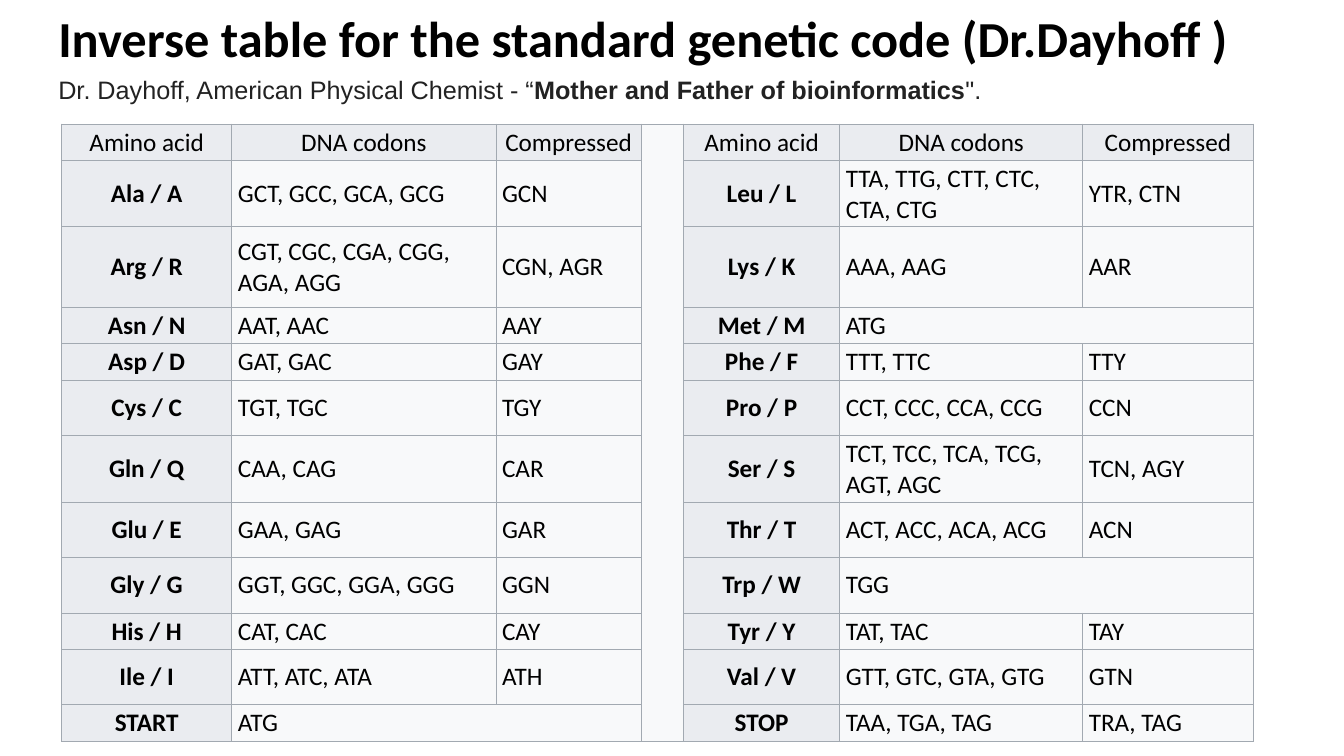
from lxml import etree
from pptx import Presentation
from pptx.dml.color import RGBColor
from pptx.enum.text import MSO_ANCHOR, PP_ALIGN
from pptx.oxml.ns import qn
from pptx.util import Inches, Pt

TITLE = "Inverse table for the standard genetic code (Dr.Dayhoff\u00a0)"
SUBTITLE = [
    ("Dr. Dayhoff, American Physical Chemist - “", False),
    ("Mother and Father of bioinformatics", True),
    ('".', False),
]
HEADER = ("Amino acid", "DNA codons", "Compressed")
LEFT_HALF = [
    HEADER,
    ("Ala / A", "GCT, GCC, GCA, GCG", "GCN"),
    ("Arg / R", "CGT, CGC, CGA, CGG, AGA, AGG", "CGN, AGR"),
    ("Asn / N", "AAT, AAC", "AAY"),
    ("Asp / D", "GAT, GAC", "GAY"),
    ("Cys / C", "TGT, TGC", "TGY"),
    ("Gln / Q", "CAA, CAG", "CAR"),
    ("Glu / E", "GAA, GAG", "GAR"),
    ("Gly / G", "GGT, GGC, GGA, GGG", "GGN"),
    ("His / H", "CAT, CAC", "CAY"),
    ("Ile / I", "ATT, ATC, ATA", "ATH"),
    ("START", "ATG", None),
]
RIGHT_HALF = [
    HEADER,
    ("Leu / L", "TTA, TTG, CTT, CTC, CTA, CTG", "YTR, CTN"),
    ("Lys / K", "AAA, AAG", "AAR"),
    ("Met / M", "ATG", None),
    ("Phe / F", "TTT, TTC", "TTY"),
    ("Pro / P", "CCT, CCC, CCA, CCG", "CCN"),
    ("Ser / S", "TCT, TCC, TCA, TCG, AGT, AGC", "TCN, AGY"),
    ("Thr / T", "ACT, ACC, ACA, ACG", "ACN"),
    ("Trp / W", "TGG", None),
    ("Tyr / Y", "TAT, TAC", "TAY"),
    ("Val / V", "GTT, GTC, GTA, GTG", "GTN"),
    ("STOP", "TAA, TGA, TAG", "TRA, TAG"),
]
COLUMNS = (1.69, 2.62, 1.44, 0.42, 1.55, 2.41, 1.69)
ROWS = (0.33, 0.61, 0.8, 0.33, 0.33, 0.55, 0.61, 0.55, 0.55, 0.33, 0.55, 0.33)
GAP = 3
BLACK = RGBColor(0x00, 0x00, 0x00)
DARK = RGBColor(0x22, 0x22, 0x22)
HEAD_FILL = RGBColor(0xEA, 0xEC, 0xF0)
BODY_FILL = RGBColor(0xF8, 0xF9, 0xFA)
BORDER = RGBColor(0xA2, 0xA9, 0xB1)
CENTER = PP_ALIGN.CENTER
LEFT = PP_ALIGN.LEFT
MIDDLE = MSO_ANCHOR.MIDDLE


def set_font(font, name, size, color, bold=None):
    font.name, font.size, font.bold = name, Pt(size), bold
    font.color.rgb = color


def add_text(slide, box, runs, name, size, color):
    tf = slide.shapes.add_textbox(*map(Inches, box)).text_frame
    tf.word_wrap = True
    p = tf.paragraphs[0]
    set_font(p.font, name, size, color)
    for text, bold in runs:
        r = p.add_run()
        r.text = text
        set_font(r.font, name, size, color, bold)
    return tf


def style_cell(cell, fill):
    cell.margin_left = cell.margin_right = Inches(0.06)
    cell.margin_top = cell.margin_bottom = Inches(0.03)
    cell.vertical_anchor = MIDDLE
    if not cell.is_spanned:
        tc_pr = cell._tc.get_or_add_tcPr()
        for side in ("lnL", "lnR", "lnT", "lnB"):
            ln = etree.SubElement(tc_pr, qn(f"a:{side}"), w=str(Pt(0.75)))
            solid = etree.SubElement(ln, qn("a:solidFill"))
            etree.SubElement(solid, qn("a:srgbClr"), val=str(BORDER))
    cell.fill.solid()
    cell.fill.fore_color.rgb = fill


def fill_table(table):
    for column, width in zip(table.columns, COLUMNS):
        column.width = Inches(width)
    for row, height in zip(table.rows, ROWS):
        row.height = Inches(height)
    table.cell(0, GAP).merge(table.cell(len(ROWS) - 1, GAP))
    for i, (left, right) in enumerate(zip(LEFT_HALF, RIGHT_HALF)):
        for start, entry in ((0, left), (GAP + 1, right)):
            if entry[-1] is None:
                table.cell(i, start + 1).merge(table.cell(i, start + 2))
        for j, text in enumerate((*left, None, *right)):
            cell = table.cell(i, j)
            is_name = j in (0, GAP + 1)
            is_head = is_name or (i == 0 and j != GAP)
            style_cell(cell, HEAD_FILL if is_head else BODY_FILL)
            if text:
                p = cell.text_frame.paragraphs[0]
                p.alignment = CENTER if is_head else LEFT
                r = p.add_run()
                r.text = text
                set_font(r.font, "Calibri", 18, BLACK, is_name and i > 0)


def main():
    """Build the inverse genetic code slide."""
    prs = Presentation()
    prs.slide_width, prs.slide_height = Inches(13.33), Inches(7.5)
    slide = prs.slides.add_slide(prs.slide_layouts[6])
    tf = add_text(slide, (0.48, 0.12, 11.93, 0.57), [(TITLE, True)], "Calibri", 36, BLACK)
    tf.vertical_anchor = MIDDLE
    tf.paragraphs[0].line_spacing = 0.9
    frame = slide.shapes.add_table(
        len(ROWS), len(COLUMNS), Inches(0.61), Inches(1.23),
        Inches(sum(COLUMNS)), Inches(sum(ROWS)))
    fill_table(frame.table)
    add_text(slide, (0.48, 0.69, 10.42, 0.4), SUBTITLE, "Arial", 18, DARK)
    prs.save("out.pptx")


if __name__ == "__main__":
    main()
